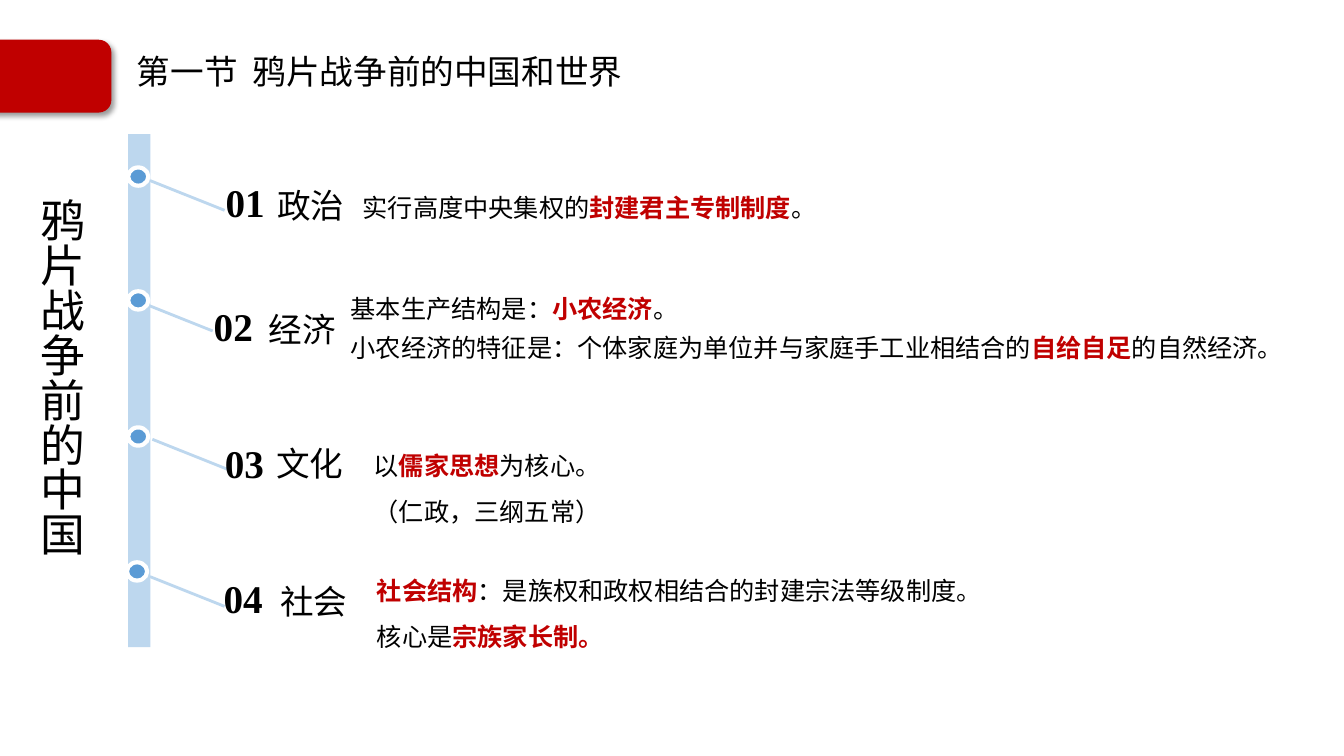
from dataclasses import dataclass
from typing import Optional

from lxml.etree import SubElement
from pptx import Presentation
from pptx.dml.color import RGBColor
from pptx.enum.shapes import MSO_CONNECTOR, MSO_SHAPE
from pptx.enum.text import MSO_ANCHOR, MSO_AUTO_SIZE, PP_ALIGN
from pptx.oxml.ns import qn
from pptx.util import Cm, Pt

RED, BLACK, WHITE = "C00000", "000000", "FFFFFF"
PALE_BLUE, BLUE = "BDD7EE", "5B9BD5"
HEAD_FONT, BODY_FONT, NUM_FONT = "Noto Sans CJK JP", "Noto Sans CJK SC", "Times New Roman"
LINE_DX, LINE_DY = 1.88, 0.75


@dataclass
class Run:
    text: str
    size: float = 18
    font: str = BODY_FONT
    color: str = BLACK
    bold: bool = False


@dataclass
class Box:
    x: float
    y: float
    w: float
    h: float


@dataclass
class Topic:
    name: str
    dot: tuple[float, float]
    line: tuple[float, float]
    num: tuple[float, float]
    label: tuple[float, float]
    body: Box
    paras: list[list[Run]]
    spacing: float
    wrap: bool = True


def rgb(color: str) -> RGBColor:
    return RGBColor.from_string(color)


def key(text: str) -> Run:
    return Run(text, color=RED, bold=True)


def add_block(shapes, kind, box: Box, fill: str, line: Optional[str] = None, width: float = 1):
    sp = shapes.add_shape(kind, Cm(box.x), Cm(box.y), Cm(box.w), Cm(box.h))
    sp.shadow.inherit = False
    sp.fill.solid()
    sp.fill.fore_color.rgb = rgb(fill)
    if line:
        sp.line.color.rgb = rgb(line)
        sp.line.width = Pt(width)
    else:
        sp.line.fill.background()
    return sp


def add_shadow(sp) -> None:
    effects = sp._element.spPr.find(qn("a:effectLst"))
    shadow = SubElement(effects, qn("a:outerShdw"), blurRad=str(Pt(4)), dist=str(Pt(3)),
                        dir=str(45 * 60000), algn="tl", rotWithShape="0")
    color = SubElement(shadow, qn("a:srgbClr"), val=BLACK)
    SubElement(color, qn("a:alpha"), val="40000")


def add_line(shapes, x: float, y: float) -> None:
    cn = shapes.add_connector(MSO_CONNECTOR.STRAIGHT, Cm(x), Cm(y),
                              Cm(x + LINE_DX), Cm(y + LINE_DY))
    cn.line.color.rgb = rgb(PALE_BLUE)
    cn.line.width = Pt(2)
    SubElement(cn._element.spPr, qn("a:effectLst"))


def add_text(shapes, box: Box, paras: list[list[Run]], spacing: Optional[float] = None,
             align: Optional[PP_ALIGN] = None, wrap: bool = True, tight: bool = False):
    """A tight box has no margins and centres its text vertically; others grow."""
    tf = shapes.add_textbox(Cm(box.x), Cm(box.y), Cm(box.w), Cm(box.h)).text_frame
    tf.word_wrap = wrap
    if tight:
        tf.margin_left = tf.margin_top = tf.margin_right = tf.margin_bottom = 0
        tf.vertical_anchor = MSO_ANCHOR.MIDDLE
    else:
        tf.auto_size = MSO_AUTO_SIZE.SHAPE_TO_FIT_TEXT
    for i, runs in enumerate(paras):
        p = tf.add_paragraph() if i else tf.paragraphs[0]
        p.alignment = align
        p.line_spacing = spacing
        for run in runs:
            r = p.add_run()
            r.text = run.text
            r.font.size = Pt(run.size)
            r.font.bold = run.bold
            r.font.color.rgb = rgb(run.color)
            r.font.name = run.font
            SubElement(r._r.get_or_add_rPr(), qn("a:ea"), typeface=run.font)
    return tf


TOPICS = [
    Topic("政治", (3.23, 4.22), (3.78, 4.55), (5.28, 4.5), (6.99, 4.5),
          Box(8.89, 4.5, 13.94, 1.24),
          [[Run("实行高度中央集权的"), key("封建君主专制制度"), Run("。")]], 1.28),
    Topic("经济", (3.23, 7.34), (3.48, 7.59), (4.98, 7.62), (6.78, 7.62),
          Box(8.59, 7.06, 24.33, 2.24),
          [[Run("基本生产结构是："), key("小农经济"), Run("。")],
           [Run("小农经济的特征是：个体家庭为单位并与家庭手工业相结合的"),
            key("自给自足"), Run("的自然经济。")]], 1.28),
    Topic("文化", (3.23, 10.77), (3.84, 11.07), (5.26, 11.07), (6.96, 11),
          Box(9.17, 10.85, 6.27, 2.57),
          [[Run("以"), key("儒家思想"), Run("为核心。")],
           [Run("（仁政，三纲五常）")]], 1.5, wrap=False),
    Topic("社会", (3.2, 14.17), (3.78, 14.53), (5.23, 14.48), (7.06, 14.48),
          Box(9.25, 14, 16.94, 2.57),
          [[key("社会结构"), Run("：是族权和政权相结合的封建宗法等级制度。")],
           [Run("核心是"), key("宗族家长制。")]], 1.5),
]


def main() -> None:
    prs = Presentation()
    prs.slide_width, prs.slide_height = Cm(33.87), Cm(19.05)
    s = prs.slides.add_slide(prs.slide_layouts[6])
    shapes = s.shapes

    # Header tab and titles
    tab = add_block(shapes, MSO_SHAPE.ROUNDED_RECTANGLE, Box(-0.46, 1.02, 3.25, 1.8), RED, RED)
    add_shadow(tab)
    add_text(shapes, Box(3.2, 1.27, 21.01, 1.19),
             [[Run("第一节  鸦片战争前的中国和世界", 24, HEAD_FONT)]], 0.9)
    side = add_text(shapes, Box(0.46, 4.75, 1.88, 9.96),
                    [[Run("鸦片战争前的中国", 32, HEAD_FONT)]], align=PP_ALIGN.JUSTIFY)
    side._txBody.bodyPr.set("vert", "eaVert")

    # Timeline bar and its topics
    add_block(shapes, MSO_SHAPE.RECTANGLE, Box(3.23, 3.38, 0.56, 12.93), PALE_BLUE)
    for n, topic in enumerate(TOPICS, 1):
        add_line(shapes, *topic.line)
        add_block(shapes, MSO_SHAPE.OVAL, Box(*topic.dot, 0.51, 0.46), BLUE, WHITE, 3)
        add_text(shapes, Box(*topic.num, 1.8, 1.19),
                 [[Run(f"{n:02}", 28, NUM_FONT, bold=True)]],
                 align=PP_ALIGN.CENTER, wrap=False, tight=True)
        add_text(shapes, Box(*topic.label, 2.18, 1.35),
                 [[Run(topic.name, 24, HEAD_FONT)]], tight=True)
        add_text(shapes, topic.body, topic.paras, topic.spacing, wrap=topic.wrap)

    prs.save("out.pptx")


if __name__ == "__main__":
    main()
